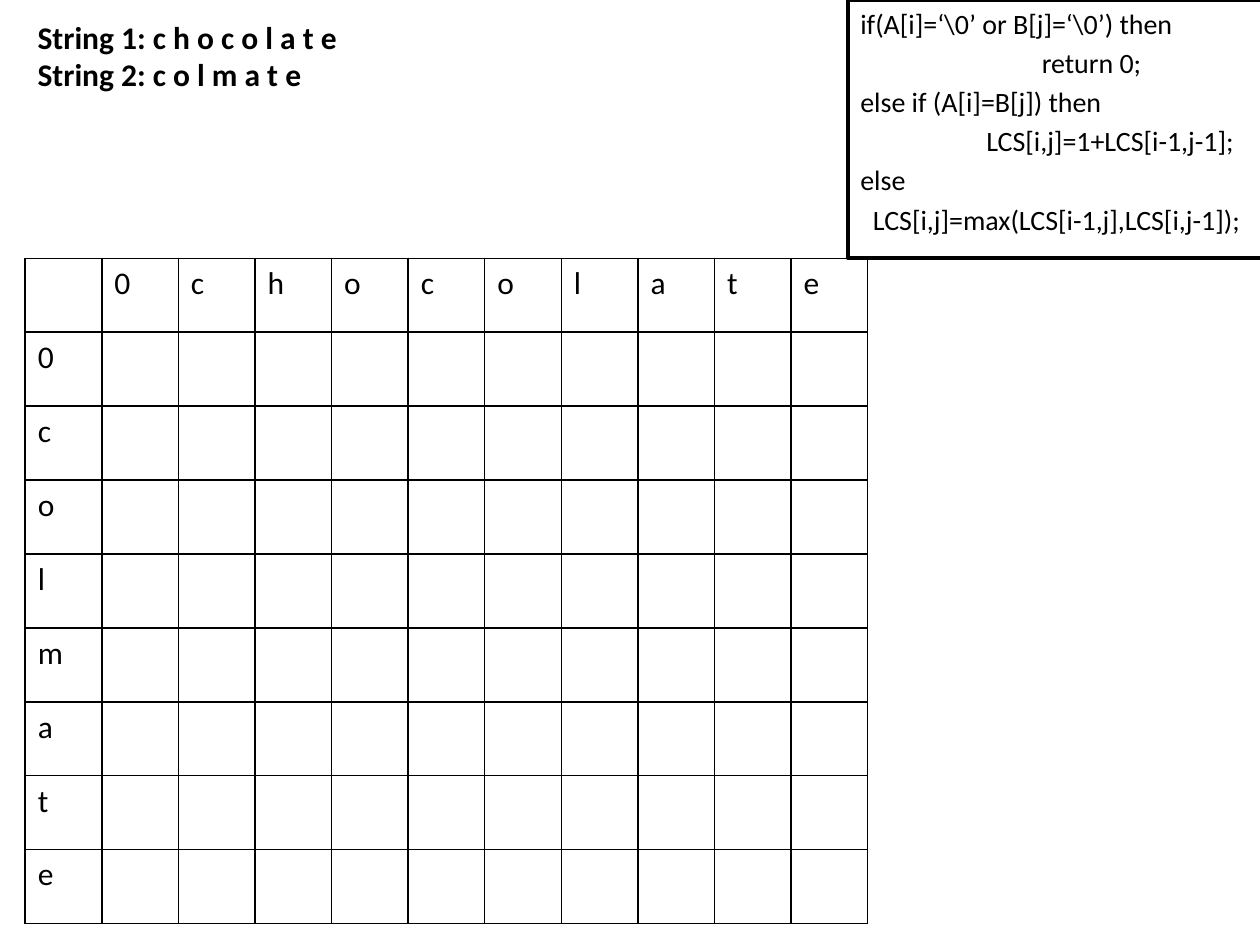
from dataclasses import dataclass

from lxml.etree import SubElement
from pptx import Presentation
from pptx.dml.color import RGBColor
from pptx.enum.shapes import MSO_SHAPE
from pptx.enum.text import MSO_ANCHOR, PP_ALIGN
from pptx.oxml.ns import qn
from pptx.util import Inches, Pt

BLACK = "000000"
WHITE = "FFFFFF"
FONT = "Calibri"
FIRST_WORD = "chocolate"
SECOND_WORD = "colmate"


@dataclass
class CodeLine:
    text: str
    indent: float = 0


HEADINGS = [
    f"String {number}: {' '.join(word)}"
    for number, word in enumerate((FIRST_WORD, SECOND_WORD), start=1)
]
CODE = [
    CodeLine("if(A[i]=‘\\0’ or B[j]=‘\\0’) then"),
    CodeLine("return 0;", 1.44),
    CodeLine("else if (A[i]=B[j]) then"),
    CodeLine("LCS[i,j]=1+LCS[i-1,j-1];", 1),
    CodeLine("else"),
    CodeLine("LCS[i,j]=max(LCS[i-1,j],LCS[i,j-1]);", 0.1),
]


def color(value: str) -> RGBColor:
    return RGBColor.from_string(value)


def add_run(paragraph, text: str, size: float = 18, bold: bool = False) -> None:
    run = paragraph.add_run()
    run.text = text
    run.font.name = FONT
    run.font.size = Pt(size)
    run.font.bold = bold
    run.font.color.rgb = color(BLACK)


def get_paragraph(frame, index: int):
    """Return the frame's first paragraph, or add one for later lines."""
    return frame.add_paragraph() if index else frame.paragraphs[0]


def set_borders(cell, width: float = 1) -> None:
    properties = cell._tc.get_or_add_tcPr()
    for position, side in enumerate(("lnL", "lnR", "lnT", "lnB")):
        line = properties.makeelement(qn(f"a:{side}"), {"w": str(Pt(width))})
        fill = SubElement(line, qn("a:solidFill"))
        SubElement(fill, qn("a:srgbClr"), val=BLACK)
        properties.insert(position, line)


def add_headings(slide) -> None:
    box = slide.shapes.add_textbox(Inches(0.2), Inches(0.09), Inches(5), Inches(0.71))
    box.text_frame.word_wrap = True
    for index, heading in enumerate(HEADINGS):
        add_run(get_paragraph(box.text_frame, index), heading, bold=True)


def add_grid(slide) -> None:
    """Draw the LCS table with one word across and the other down."""
    column_labels = ["", "0", *FIRST_WORD]
    row_labels = ["", "0", *SECOND_WORD]
    table = slide.shapes.add_table(
        len(row_labels), len(column_labels),
        Inches(0.2), Inches(2.05), Inches(6.69), Inches(5.28),
    ).table
    table.first_row = False
    table.horz_banding = False
    for row, row_label in enumerate(row_labels):
        for column, column_label in enumerate(column_labels):
            cell = table.cell(row, column)
            cell.fill.background()
            set_borders(cell)
            label = column_label if row == 0 else row_label if column == 0 else ""
            if label:
                add_run(cell.text_frame.paragraphs[0], label)


def add_code_box(slide) -> None:
    box = slide.shapes.add_shape(
        MSO_SHAPE.RECTANGLE, Inches(6.73), Inches(0), Inches(3.66), Inches(2.05)
    )
    box.shadow.inherit = False
    box.fill.solid()
    box.fill.fore_color.rgb = color(WHITE)
    box.line.color.rgb = color(BLACK)
    box.line.width = Pt(2)
    frame = box.text_frame
    frame.word_wrap = True
    frame.vertical_anchor = MSO_ANCHOR.TOP
    for index, line in enumerate(CODE):
        paragraph = get_paragraph(frame, index)
        paragraph.alignment = PP_ALIGN.LEFT
        paragraph.space_before = Pt(3.2)
        paragraph._p.get_or_add_pPr().set("marL", str(Inches(line.indent)))
        add_run(paragraph, line.text, size=16)


def main() -> None:
    presentation = Presentation()
    presentation.slide_width = Inches(10)
    presentation.slide_height = Inches(7.5)
    slide = presentation.slides.add_slide(presentation.slide_layouts[6])
    add_headings(slide)
    add_grid(slide)
    add_code_box(slide)
    presentation.save("out.pptx")


if __name__ == "__main__":
    main()
